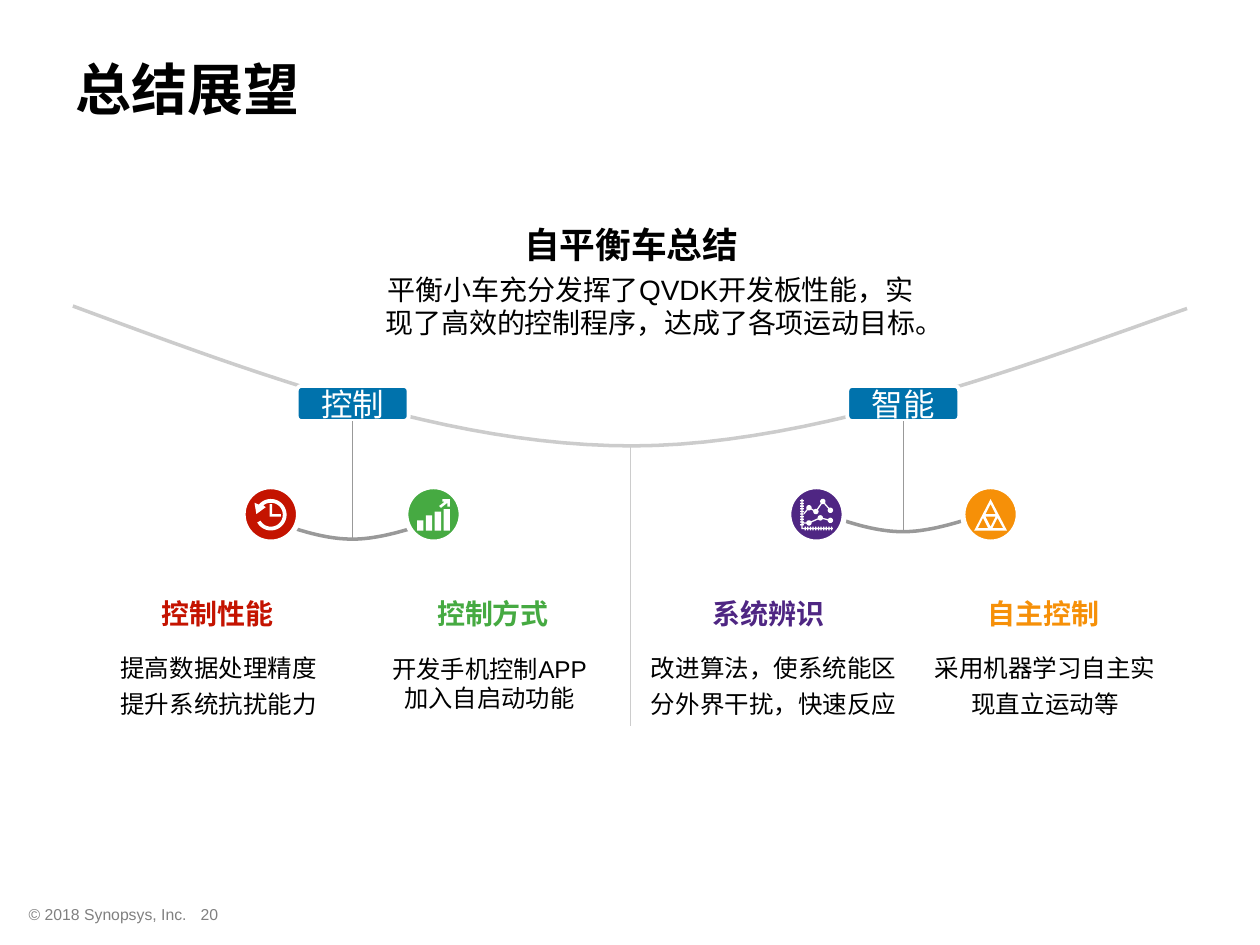
"""Build the summary and outlook slide of the self-balancing car deck."""
import math
from dataclasses import dataclass

import lxml.etree
import pptx
import pptx.dml.color
import pptx.enum.shapes
import pptx.enum.text
import pptx.oxml.ns
import pptx.util

Cm = pptx.util.Cm
Pt = pptx.util.Pt
RGBColor = pptx.dml.color.RGBColor
Shape = pptx.enum.shapes.MSO_SHAPE
Anchor = pptx.enum.text.MSO_ANCHOR
Align = pptx.enum.text.PP_ALIGN
Point = tuple[float, float]
Contour = list[Point]

BLACK = RGBColor(0x00, 0x00, 0x00)
WHITE = RGBColor(0xFF, 0xFF, 0xFF)
FOOTER_GRAY = RGBColor(0x80, 0x80, 0x80)
STEM_GRAY = RGBColor(0x99, 0x99, 0x99)
LIGHT_GRAY = RGBColor(0xCC, 0xCC, 0xCC)
BLUE = RGBColor(0x00, 0x72, 0xAC)
RED = RGBColor(0xC4, 0x13, 0x00)
GREEN = RGBColor(0x46, 0xAA, 0x42)
PURPLE = RGBColor(0x4F, 0x26, 0x83)
ORANGE = RGBColor(0xF6, 0x90, 0x08)

ICON_UNIT = 2.54 / 100
BADGE_TOP, BADGE_SIZE = 9.81, 1.12
PILL_TOP, PILL_WIDTH, PILL_HEIGHT = 7.78, 2.26, 0.71
CARD_LEFT, CARD_PITCH, CARD_WIDTH = 1.71, 5.55, 5.36


@dataclass
class TextSpec:
    lines: list[str]
    box: tuple[float, float, float, float]
    size: float
    color: RGBColor = BLACK
    bold: bool = False
    align: Align = Align.CENTER
    anchor: Anchor = Anchor.MIDDLE
    spacing: float = 1.0


@dataclass
class Card:
    title: str
    lines: list[str]
    color: RGBColor
    badge_left: float
    icon: list[Contour]
    body_left: float
    body_top: float = 12.93
    body_width: float = CARD_WIDTH
    size: float = 14
    spacing: float = 1.2


@dataclass
class Branch:
    label: str
    center: float
    arm_top: float


def arc(cx: float, cy: float, radius: float, start: int, end: int) -> Contour:
    steps = max(8, abs(end - start) // 8)
    angles = [math.radians(start + (end - start) * i / steps) for i in range(steps + 1)]
    return [(cx + radius * math.cos(a), cy + radius * math.sin(a)) for a in angles]


def rect(x: float, y: float, w: float, h: float) -> Contour:
    return [(x, y), (x + w, y), (x + w, y + h), (x, y + h)]


def strip(a: Point, b: Point, gap: float = 1.9, half: float = 0.5) -> Contour:
    length = math.dist(a, b)
    ux, uy = (b[0] - a[0]) / length, (b[1] - a[1]) / length
    corners = [(gap, half), (length - gap, half), (length - gap, -half), (gap, -half)]
    return [(a[0] + ux * t - uy * n, a[1] + uy * t + ux * n) for t, n in corners]


def plot_icon() -> list[Contour]:
    contours = [[(1, 0), (2, 0), (2, 23), (26, 23), (26, 24), (1, 24)]]
    for i in range(10):
        contours += [rect(x, 1 + 2.1 * i, 1, 1) for x in (0, 2)]
    for i in range(11):
        contours += [rect(3.5 + 2.1 * i, y, 1, 1) for y in (22, 24)]
    series = [[(7, 7), (12.5, 10), (18, 2), (24, 9)], [(7, 19), (16, 15), (24, 17)]]
    for dots in series:
        contours += [arc(x, y, 2.1, 0, 360) for x, y in dots]
        contours += [strip(a, b) for a, b in zip(dots, dots[1:])]
    return contours + [strip((1, 14), (7, 7)), strip((0, 19), (7, 19))]


def bezier(start: Point, c1: Point, c2: Point, end: Point) -> Contour:
    def at(t: float) -> Point:
        weights = ((1 - t) ** 3, 3 * t * (1 - t) ** 2, 3 * t * t * (1 - t), t ** 3)
        points = (start, c1, c2, end)
        return (sum(w * p[0] for w, p in zip(weights, points)),
                sum(w * p[1] for w, p in zip(weights, points)))
    return [at(i / 24) for i in range(25)]


def write(sp, spec: TextSpec, wrap: bool = True) -> None:
    tf = sp.text_frame
    tf.word_wrap, tf.vertical_anchor = wrap, spec.anchor
    for i, line in enumerate(spec.lines):
        p = tf.paragraphs[0] if i == 0 else tf.add_paragraph()
        p.alignment, p.line_spacing = spec.align, spec.spacing
        r = p.add_run()
        r.text = line
        font_format = {"name": "Arial", "size": Pt(spec.size), "bold": spec.bold}
        for name, value in font_format.items():
            setattr(r.font, name, value)
        r.font.color.rgb = spec.color


def add_text(s, spec: TextSpec) -> None:
    write(s.shapes.add_textbox(*map(Cm, spec.box)), spec)


def add_outline(s, contours: list[Contour], closed: bool):
    first, *others = [[(Cm(x), Cm(y)) for x, y in contour] for contour in contours]
    builder = s.shapes.build_freeform(*first[0])
    builder.add_line_segments(first[1:], close=closed)
    for contour in others:
        builder.move_to(*contour[0])
        builder.add_line_segments(contour[1:], close=closed)
    sp = builder.convert_to_shape()
    sp.shadow.inherit = False
    return sp


def add_curve(s, points: Contour, color: RGBColor) -> None:
    sp = add_outline(s, [points], False)
    sp.fill.background()
    sp.line.color.rgb, sp.line.width = color, Pt(2)


def add_line(s, start: Point, end: Point, color: RGBColor) -> None:
    sp = s.shapes.add_connector(pptx.enum.shapes.MSO_CONNECTOR.STRAIGHT, *map(Cm, start + end))
    sp.line.color.rgb, sp.line.width = color, Pt(0.75)
    lxml.etree.SubElement(sp._element.spPr, pptx.oxml.ns.qn("a:effectLst"))


def add_filled(s, kind: Shape, box: tuple, fill: RGBColor, width: float):
    sp = s.shapes.add_shape(kind, *map(Cm, box))
    sp.shadow.inherit = False
    sp.fill.solid()
    sp.fill.fore_color.rgb = fill
    sp.line.color.rgb, sp.line.width = WHITE, Pt(width)
    return sp


def add_branch(s, branch: Branch) -> None:
    x, top = branch.center, branch.arm_top
    box = (x - PILL_WIDTH / 2, PILL_TOP, PILL_WIDTH, PILL_HEIGHT)
    sp = add_filled(s, Shape.ROUNDED_RECTANGLE, box, BLUE, 2.25)
    sp.adjustments[0] = 0.14
    write(sp, TextSpec([branch.label], box, 18, WHITE), wrap=False)
    left = bezier((x - 2, top), (x - 1.32, top + 0.25), (x - 0.66, top + 0.51), (x, top + 0.51))
    right = bezier((x, top + 0.51), (x + 0.66, top + 0.51), (x + 1.47, top + 0.2), (x + 1.98, top + 0.03))
    add_curve(s, left + right[1:], STEM_GRAY)
    add_line(s, (x, PILL_TOP + PILL_HEIGHT), (x, top + 0.51), STEM_GRAY)


def add_card(s, card: Card, index: int) -> None:
    head = (CARD_LEFT + CARD_PITCH * index, 11.75, CARD_WIDTH, 1.07)
    body = (card.body_left, card.body_top, card.body_width, 1.5)
    add_text(s, TextSpec([card.title], head, 16, card.color, True, anchor=Anchor.BOTTOM))
    add_text(s, TextSpec(card.lines, body, card.size, anchor=Anchor.TOP, spacing=card.spacing))
    badge = (card.badge_left, BADGE_TOP, BADGE_SIZE, BADGE_SIZE)
    add_filled(s, Shape.OVAL, badge, card.color, 3)
    left, top = card.badge_left + 0.23, BADGE_TOP + 0.25
    sp = add_outline(s, [[(left + x * ICON_UNIT, top + y * ICON_UNIT) for x, y in contour]
                         for contour in card.icon], True)
    sp.fill.solid()
    sp.fill.fore_color.rgb = WHITE
    sp.line.fill.background()


CLOCK = [arc(13, 12.5, 12.5, -140, 150) + arc(13, 12.5, 9.5, 150, -130) + [(9, 6.5), (1.5, 12), (0, 3)],
         [(12, 4), (14, 4), (14, 12), (21, 12), (21, 14), (12, 14)]]
BARS = [rect(7 * i, top, 5, 25 - top) for i, top in enumerate((17, 13, 10, 8))]
BARS.append([(20, 0), (26, 0), (26, 6), (24, 6), (24, 3), (19, 7), (17.5, 5.5), (22, 2), (20, 2)])
TRIANGLES = [[(13, 0), (0, 25), (26, 25)], [(13, 4), (17, 12), (9, 12)], [(3, 23), (7, 15), (11, 23)],
             [(9, 14), (17, 14), (13, 22)], [(18.5, 15), (23, 23), (14.5, 23)]]
CARDS = [
    Card("控制性能", ["提高数据处理精度", "提升系统抗扰能力"], RED, 4.9, CLOCK, 1.73),
    Card("控制方式", ["开发手机控制APP", "加入自启动功能"], GREEN, 8.18, BARS, 7.19, 13.06, size=13.9, spacing=1.0),
    Card("系统辨识", ["改进算法，使系统能区分外界干扰，快速反应"], PURPLE, 15.9, plot_icon(), 12.83, body_width=5.54),
    Card("自主控制", ["采用机器学习自主实现直立运动等"], ORANGE, 19.41, TRIANGLES, 18.39),
]
BRANCHES = [Branch("控制", 7.11, 10.36), Branch("智能", 18.21, 10.21)]
TEXTS = [
    TextSpec(["© 2018 Synopsys, Inc."], (0.33, 18.11, 7.82, 0.64), 9, FOOTER_GRAY, align=Align.LEFT, anchor=Anchor.TOP),
    TextSpec(["20"], (3.33, 18.11, 1.78, 0.64), 9, FOOTER_GRAY, anchor=Anchor.TOP),
    TextSpec(["总结展望"], (1.27, 0.18, 24.13, 3.18), 32, bold=True, align=Align.LEFT),
    TextSpec(["自平衡车总结"], (7.39, 4.42, 10.67, 0.99), 20.4, bold=True),
    TextSpec(["平衡小车充分发挥了QVDK开发板性能，实现了高效的控制程序，达成了各项运动目标。"],
             (7.39, 5.41, 11.46, 1.52), 16),
]


def main() -> None:
    prs = pptx.Presentation()
    prs.slide_width, prs.slide_height = Cm(25.4), Cm(19.05)
    s = prs.slides.add_slide(prs.slide_layouts[6])
    left = bezier((1.47, 6.17), (5.26, 7.57), (9.02, 8.99), (12.75, 8.99))
    right = bezier((12.75, 8.99), (16.51, 8.99), (21.11, 7.21), (23.93, 6.22))
    add_curve(s, left + right[1:], LIGHT_GRAY)
    for spec in TEXTS:
        add_text(s, spec)
    add_line(s, (12.71, 8.99), (12.71, 14.63), LIGHT_GRAY)
    for branch in BRANCHES:
        add_branch(s, branch)
    for index, card in enumerate(CARDS):
        add_card(s, card, index)
    prs.save("out.pptx")


if __name__ == "__main__":
    main()
